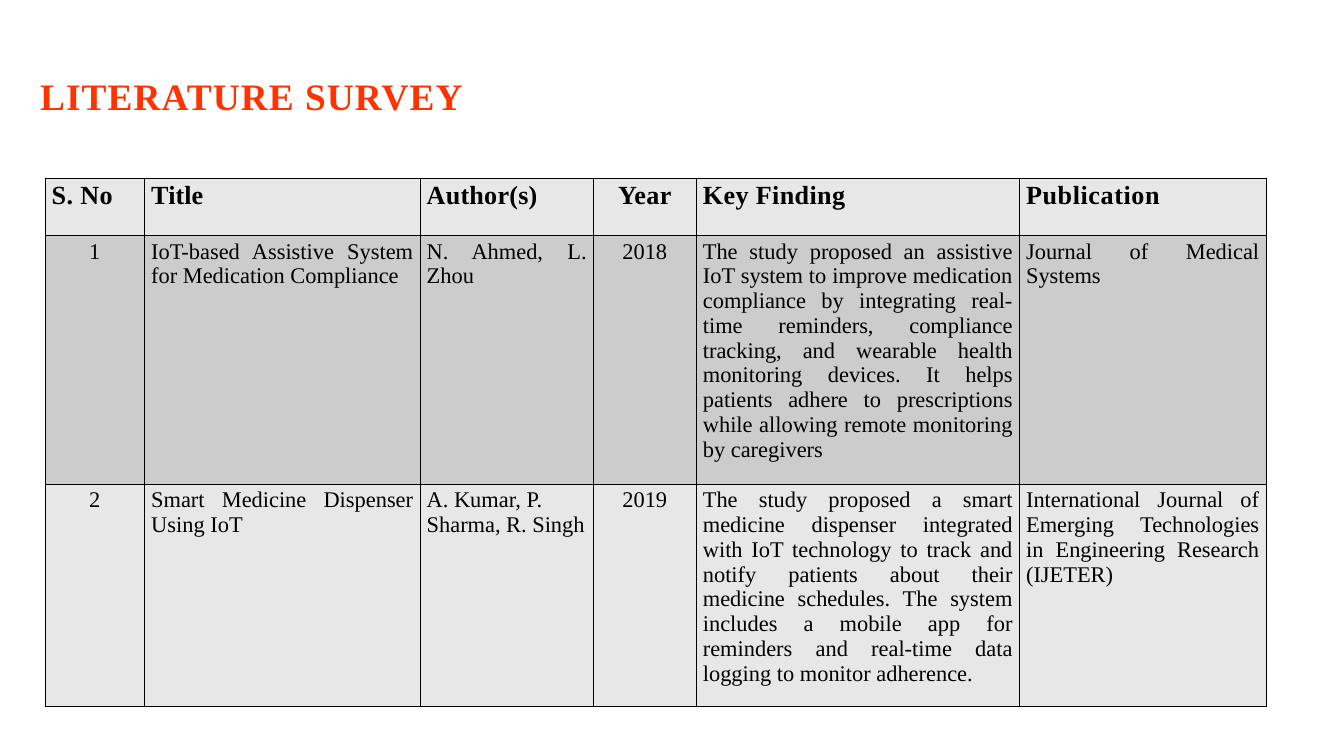
from lxml.etree import SubElement
from pptx import Presentation
from pptx.dml.color import RGBColor
from pptx.enum.text import MSO_AUTO_SIZE, PP_ALIGN
from pptx.oxml.ns import qn
from pptx.util import Inches, Pt

FONT = "Times New Roman"
ORANGE = RGBColor(0xFF, 0x33, 0x00)
BLACK = RGBColor(0x00, 0x00, 0x00)
LIGHT_GRAY = RGBColor(0xE7, 0xE7, 0xE7)
MID_GRAY = RGBColor(0xCC, 0xCC, 0xCC)

LEFT, CENTER, JUSTIFY = PP_ALIGN.LEFT, PP_ALIGN.CENTER, PP_ALIGN.JUSTIFY

# Column widths, and each heading with its letter spacing in points
COLUMN_WIDTHS = [1.48, 4.1, 2.58, 1.53, 4.81, 3.67]
ROW_HEIGHTS = [0.86, 3.7, 3.3]
HEADINGS = [("S. No", 0.46), ("Title", 0.14), ("Author(s)", 0.28),
            ("Year", 0.48), ("Key Finding", 0.43), ("Publication", 0.65)]
HEADING_ALIGNS = [LEFT, LEFT, LEFT, CENTER, LEFT, LEFT]

# Each study: fill, author alignment, cell texts
STUDIES = [
    (MID_GRAY, JUSTIFY, [
        "1",
        "IoT-based Assistive System for Medication Compliance",
        "N. Ahmed, L. Zhou",
        "2018",
        "The study proposed an assistive IoT system to improve medication "
        "compliance by integrating real-time reminders, compliance tracking, "
        "and wearable health monitoring devices. It helps patients adhere to "
        "prescriptions while allowing remote monitoring by caregivers",
        "Journal of Medical Systems",
    ]),
    (LIGHT_GRAY, LEFT, [
        "2",
        "Smart Medicine Dispenser Using IoT",
        "A. Kumar, P. Sharma, R. Singh",
        "2019",
        "The study proposed a smart medicine dispenser integrated with IoT "
        "technology to track and notify patients about their medicine "
        "schedules. The system includes a mobile app for reminders and "
        "real-time data logging to monitor adherence.",
        "International Journal of Emerging Technologies in Engineering "
        "Research (IJETER)",
    ]),
]


class SlideBuilder:
    """Holds the text style and the current slide."""

    def __init__(self, page, font):
        self.page = page
        self.font = font

    def add_text(self, frame, text, size, color=BLACK, bold=False, align=LEFT, spacing=0):
        para = frame.paragraphs[0]
        para.alignment = align
        span = para.add_run()
        span.text = text
        span.font.name = self.font
        span.font.size = Pt(size)
        span.font.bold = bold
        span.font.color.rgb = color
        if spacing:
            span.font._element.set("spc", str(round(spacing * 100)))

    def title(self, text, left, top, width, height):
        box = self.page.shapes.add_textbox(
            Inches(left), Inches(top), Inches(width), Inches(height))
        box.text_frame.word_wrap = True
        box.text_frame.auto_size = MSO_AUTO_SIZE.SHAPE_TO_FIT_TEXT
        self.add_text(box.text_frame, text, 40, ORANGE, bold=True, spacing=1.2)

    def table(self, left, top, widths, heights):
        frame = self.page.shapes.add_table(
            len(heights), len(widths), Inches(left), Inches(top),
            Inches(sum(widths)), Inches(sum(heights)))
        table = frame.table
        for column, width in zip(table.columns, widths):
            column.width = Inches(width)
        for row, height in zip(table.rows, heights):
            row.height = Inches(height)
        return table

    def cell(self, cell, text, fill, size, **style):
        self.add_text(cell.text_frame, text, size, **style)
        self.borders(cell)
        cell.fill.solid()
        cell.fill.fore_color.rgb = fill

    def borders(self, cell):
        properties = cell._tc.get_or_add_tcPr()
        for side in ("a:lnL", "a:lnR", "a:lnT", "a:lnB"):
            line = SubElement(properties, qn(side), w=str(Pt(1)))
            solid = SubElement(line, qn("a:solidFill"))
            SubElement(solid, qn("a:srgbClr"), val=str(BLACK))


def main():
    deck = Presentation()
    deck.slide_width = Inches(20)
    deck.slide_height = Inches(11.25)
    page = deck.slides.add_slide(deck.slide_layouts[6])
    builder = SlideBuilder(page, FONT)

    # Title
    builder.title("LITERATURE SURVEY", 0.5, 1.04, 10, 0.77)

    # Heading row
    table = builder.table(0.67, 2.65, COLUMN_WIDTHS, ROW_HEIGHTS)
    for column, ((text, spacing), align) in enumerate(zip(HEADINGS, HEADING_ALIGNS)):
        builder.cell(table.cell(0, column), text, LIGHT_GRAY, 28,
                     bold=True, align=align, spacing=spacing)

    # Study rows
    for row, (fill, author_align, texts) in enumerate(STUDIES, start=1):
        aligns = [CENTER, JUSTIFY, author_align, CENTER, JUSTIFY, JUSTIFY]
        for column, (text, align) in enumerate(zip(texts, aligns)):
            builder.cell(table.cell(row, column), text, fill, 24, align=align)

    deck.save("out.pptx")


if __name__ == "__main__":
    main()
